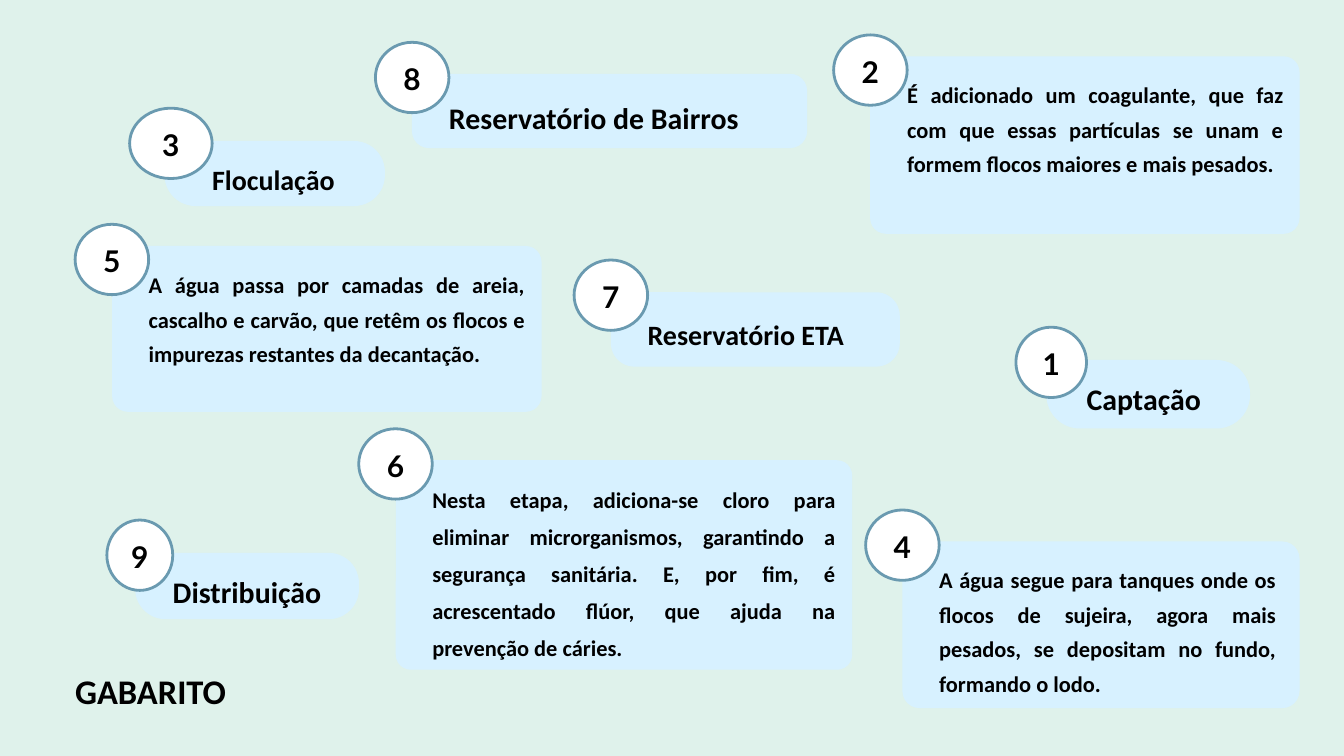
from dataclasses import dataclass

from pptx import Presentation
from pptx.dml.color import RGBColor
from pptx.enum.shapes import MSO_SHAPE
from pptx.enum.text import MSO_ANCHOR, PP_ALIGN
from pptx.util import Cm, Pt


@dataclass(frozen=True)
class Theme:
    background: RGBColor = RGBColor(0xDF, 0xF2, 0xEB)
    panel: RGBColor = RGBColor(0xD7, 0xF1, 0xFF)
    badge: RGBColor = RGBColor(0xFF, 0xFF, 0xFF)
    badge_border: RGBColor = RGBColor(0x6A, 0x9A, 0xB0)
    ink: RGBColor = RGBColor(0, 0, 0)
    text_font: str = "Calibri"
    number_font: str = "Lato"
    heading_size: int = 37
    number_size: int = 32
    label_size: int = 32
    small_label_size: int = 30
    body_size: int = 24
    leading: float = 1.54
    wide_leading: float = 1.65
    number_leading: float = 1.4


THEME = Theme()
BADGE_HEIGHT = 2.66
BADGE_WIDTH = 2.78


@dataclass(frozen=True)
class Step:
    """One stage of water treatment; all lengths in centimetres."""
    number: int
    text: str
    panel: tuple  # left, top, width, height
    radius: float
    badge: tuple  # left, top
    text_top: float
    text_width: float
    size: int = THEME.body_size
    rows: int = 4
    badge_width: float = BADGE_WIDTH
    leading: float = THEME.leading


STEPS = [
    Step(1, "Captação", (39.55, 13.61, 7.7, 2.59), 1.27, (38.4, 12.37),
         14.02, 6.99, THEME.label_size, 1, badge_width=2.67),
    Step(5, "A água passa por camadas de areia, cascalho e carvão, que retêm "
         "os flocos e impurezas restantes da decantação.",
         (4.24, 9.3, 16.23, 6.27), 0.6, (2.84, 8.48), 9.96, 14.22),
    Step(6, "Nesta etapa, adiciona-se cloro para eliminar microrganismos, "
         "garantindo a segurança sanitária. E, por fim, é acrescentado flúor, "
         "que ajuda na prevenção de cáries.",
         (14.96, 17.4, 17.25, 7.92), 0.57, (13.56, 16.21), 18.01, 15.24,
         rows=5, leading=THEME.wide_leading),
    Step(3, "Floculação", (6.22, 5.33, 8.33, 2.46), 1.17, (4.9, 4.09),
         5.77, 8.2, THEME.small_label_size, 1, badge_width=3.12),
    Step(9, "Distribuição", (5.11, 20.9, 8.46, 2.51), 1.15, (4.04, 19.66),
         21.31, 6.53, THEME.label_size, 1, badge_width=2.49),
    Step(4, "A água segue para tanques onde os flocos de sujeira, agora mais "
         "pesados, se depositam no fundo, formando o lodo.",
         (34.11, 20.47, 15.01, 6.3), 0.65, (32.72, 19.28), 21.13, 12.73),
    Step(7, "Reservatório ETA", (23.09, 11.05, 10.92, 2.81), 0.89,
         (21.7, 9.83), 11.66, 12.73, THEME.small_label_size, 1),
    Step(2, "É adicionado um coagulante, que faz com que essas partículas se "
         "unam e formem flocos maiores e mais pesados.",
         (32.89, 2.13, 16.23, 6.71), 0.6, (31.51, 1.32), 2.79, 14.22),
    Step(8, "Reservatório de Bairros", (15.57, 2.79, 14.94, 2.81), 0.65,
         (14.19, 1.6), 3.38, 12.73, THEME.label_size, 1),
]


def write(frame, text, font_name, size, leading, alignment):
    frame.word_wrap = True
    frame.margin_left = frame.margin_right = 0
    frame.margin_top = frame.margin_bottom = 0
    paragraph = frame.paragraphs[0]
    paragraph.text = text
    paragraph.alignment = alignment
    paragraph.line_spacing = Pt(round(size * leading, 1))
    paragraph.font.name = font_name
    paragraph.font.size = Pt(size)
    paragraph.font.bold = True
    paragraph.font.color.rgb = THEME.ink


def add_copy(slide, text, left, top, width, size, rows=1, leading=THEME.leading):
    height = Pt(rows * size * leading - 6)
    copy = slide.shapes.add_textbox(Cm(left), Cm(top), Cm(width), height)
    write(copy.text_frame, text, THEME.text_font, size, leading, PP_ALIGN.JUSTIFY)


def add_filled(slide, preset, box, color):
    filled = slide.shapes.add_shape(preset, *(Cm(length) for length in box))
    filled.shadow.inherit = False
    filled.fill.solid()
    filled.fill.fore_color.rgb = color
    return filled


def add_panel(slide, box, radius):
    panel = add_filled(slide, MSO_SHAPE.ROUNDED_RECTANGLE, box, THEME.panel)
    panel.adjustments[0] = min(0.5, radius / min(box[2:]))
    panel.line.fill.background()


def add_badge(slide, number, left, top, width):
    badge = add_filled(slide, MSO_SHAPE.OVAL,
                       (left, top, width, BADGE_HEIGHT), THEME.badge)
    badge.line.color.rgb = THEME.badge_border
    badge.line.width = Pt(3)
    frame = badge.text_frame
    write(frame, str(number), THEME.number_font, THEME.number_size,
          THEME.number_leading, PP_ALIGN.CENTER)
    frame.vertical_anchor = MSO_ANCHOR.MIDDLE
    frame.margin_bottom = Cm(0.12)


def add_step(slide, step):
    add_panel(slide, step.panel, step.radius)
    badge_left, badge_top = step.badge
    add_badge(slide, step.number, badge_left, badge_top, step.badge_width)
    # The text starts where the badge ends
    add_copy(slide, step.text, badge_left + step.badge_width, step.text_top,
             step.text_width, step.size, step.rows, step.leading)


def main():
    deck = Presentation()
    deck.slide_width, deck.slide_height = Cm(50.8), Cm(28.58)
    slide = deck.slides.add_slide(deck.slide_layouts[6])
    slide.background.fill.solid()
    slide.background.fill.fore_color.rgb = THEME.background

    # Numbered stages
    for step in STEPS:
        add_step(slide, step)

    # Answer key heading
    add_copy(slide, "GABARITO", 2.84, 24.89, 8.13, THEME.heading_size)

    deck.save("out.pptx")


if __name__ == "__main__":
    main()
